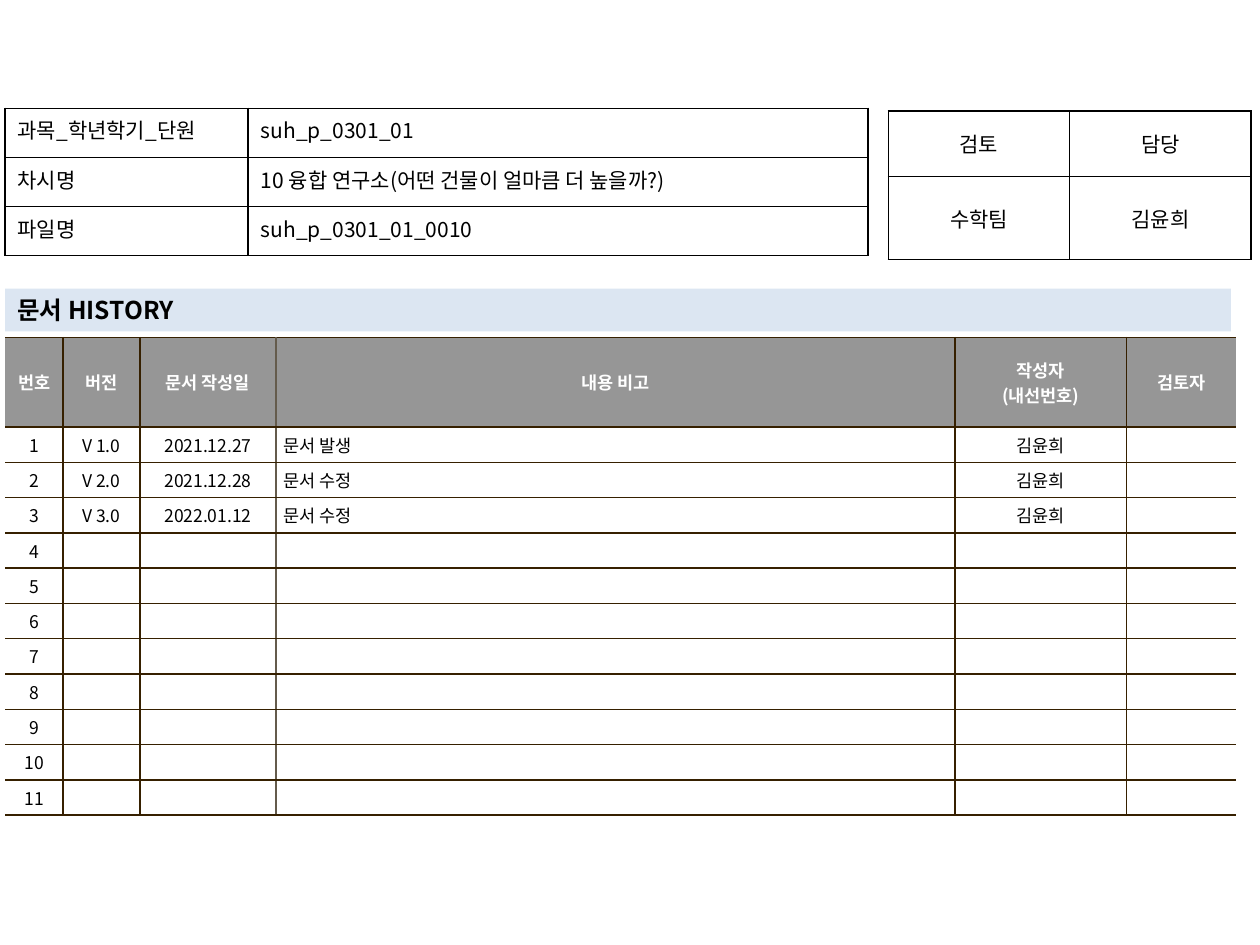
from lxml import etree
from pptx import Presentation
from pptx import util as u
from pptx.dml.color import RGBColor
from pptx.enum import shapes, text
from pptx.oxml.ns import qn

FONT = "Noto Sans CJK KR"
BLACK = RGBColor(0x00, 0x00, 0x00)
WHITE = RGBColor(0xFF, 0xFF, 0xFF)
GRAY = RGBColor(0x96, 0x96, 0x96)
PALE_BLUE = RGBColor(0xDC, 0xE6, 0xF2)
BROWN = RGBColor(0x36, 0x20, 0x00)
TAUPE = RGBColor(0x64, 0x5B, 0x4C)
LEFT, CENTER, JUSTIFY = text.PP_ALIGN.LEFT, text.PP_ALIGN.CENTER, text.PP_ALIGN.JUSTIFY
MIDDLE, TOP = text.MSO_ANCHOR.MIDDLE, text.MSO_ANCHOR.TOP


def write(frame, words, size=12, color=BLACK, bold=False, align=LEFT, hanging=0):
    for index, line in enumerate(words.split("\n")):
        para = frame.add_paragraph() if index else frame.paragraphs[0]
        para.alignment = align
        if hanging:
            properties = para._p.get_or_add_pPr()
            properties.set("marL", str(u.Inches(hanging)))
            properties.set("indent", str(-u.Inches(hanging)))
        if not line:
            etree.SubElement(para._p, qn("a:endParaRPr"), sz=str(size * 100))
            continue
        span = para.add_run()
        span.text = line
        span.font.size = u.Pt(size)
        span.font.name = FONT
        span.font.bold = bold
        span.font.color.rgb = color
        etree.SubElement(span._r.get_or_add_rPr(), qn("a:ea"), typeface=FONT)


def add_grid(left, top, widths, heights, margins, anchor, borders):
    frame = page.shapes.add_table(len(heights), len(widths), u.Inches(left), u.Inches(top),
                                  u.Inches(sum(widths)), u.Inches(sum(heights)))
    grid = frame.table
    grid.first_row = grid.horz_banding = False
    for column, width in zip(grid.columns, widths):
        column.width = u.Inches(width)
    for row, height in zip(grid.rows, heights):
        row.height = u.Inches(height)
        for index, cell in enumerate(row.cells):
            cell.margin_left = cell.margin_right = u.Inches(margins[0])
            cell.margin_top = cell.margin_bottom = u.Inches(margins[1])
            cell.vertical_anchor = anchor
            sides = {"L": borders[index], "R": borders[index + 1], "T": borders[1], "B": borders[1]}
            for side, color in sides.items():
                edge = etree.SubElement(cell._tc.get_or_add_tcPr(), qn("a:ln" + side), w=str(u.Pt(1)))
                if color is None:
                    etree.SubElement(edge, qn("a:noFill"))
                else:
                    solid = etree.SubElement(edge, qn("a:solidFill"))
                    etree.SubElement(solid, qn("a:srgbClr"), val=str(color))
            cell.fill.background()
    return grid


deck = Presentation()
deck.slide_width, deck.slide_height = u.Inches(10), u.Inches(7.5)
page = deck.slides.add_slide(deck.slide_layouts[6])

headings = ["번호", "버전", "문서 작성일", "내용 비고", "작성자\n(내선번호)", "검토자"]
revisions = [
    ("V 1.0", "2021.12.27", "문서 발생", "김윤희"),
    ("V 2.0", "2021.12.28", "문서 수정", "김윤희"),
    ("V 3.0", "2022.01.12", "문서 수정", "김윤희"),
]
history = add_grid(0.04, 2.68, [0.46, 0.61, 1.08, 5.39, 1.36, 0.87], [0.71] + [0.28] * 11,
                   (0.06, 0.04), MIDDLE, [None, BROWN, BROWN, TAUPE, BROWN, BROWN, None])
for column, heading in enumerate(headings):
    cell = history.cell(0, column)
    cell.fill.solid()
    cell.fill.fore_color.rgb = GRAY
    write(cell.text_frame, heading, size=10, color=WHITE, bold=True, align=CENTER)
for number in range(1, 12):
    revision = revisions[number - 1] if number <= len(revisions) else [""] * 4
    for column, words in enumerate([str(number), *revision, ""]):
        cell = history.cell(number, column)
        cell.fill.solid()
        cell.fill.fore_color.rgb = WHITE
        is_note = column == 3
        write(cell.text_frame, words, size=10, align=LEFT if is_note else CENTER,
              hanging=0.19 if is_note else 0)

approval = add_grid(7.05, 0.88, [1.44, 1.44], [0.52, 0.66], (0.1, 0.05), MIDDLE, [BLACK] * 3)
for row, labels in enumerate([("검토", "담당"), ("수학팀", "김윤희")]):
    for column, label in enumerate(labels):
        write(approval.cell(row, column).text_frame, label, align=CENTER)

banner = page.shapes.add_shape(shapes.MSO_SHAPE.RECTANGLE, u.Inches(0.04), u.Inches(2.29),
                               u.Inches(9.73), u.Inches(0.34))
banner.shadow.inherit = False
banner.fill.solid()
banner.fill.fore_color.rgb = PALE_BLUE
banner.line.fill.background()
banner.text_frame.word_wrap = True
banner.text_frame.vertical_anchor = MIDDLE
write(banner.text_frame, "문서 HISTORY", size=14, bold=True)

details = [
    ("과목_학년학기_단원", "suh_p_0301_01"),
    ("차시명", "10 융합 연구소(어떤 건물이 얼마큼 더 높을까?)"),
    ("파일명", "suh_p_0301_01_0010"),
]
lesson = add_grid(0.04, 0.86, [1.93, 4.92], [0.39] * 3, (0.1, 0.05), TOP, [BLACK] * 3)
for row, (label, value) in enumerate(details):
    write(lesson.cell(row, 0).text_frame, label, align=JUSTIFY)
    write(lesson.cell(row, 1).text_frame, value)

deck.save("out.pptx")
